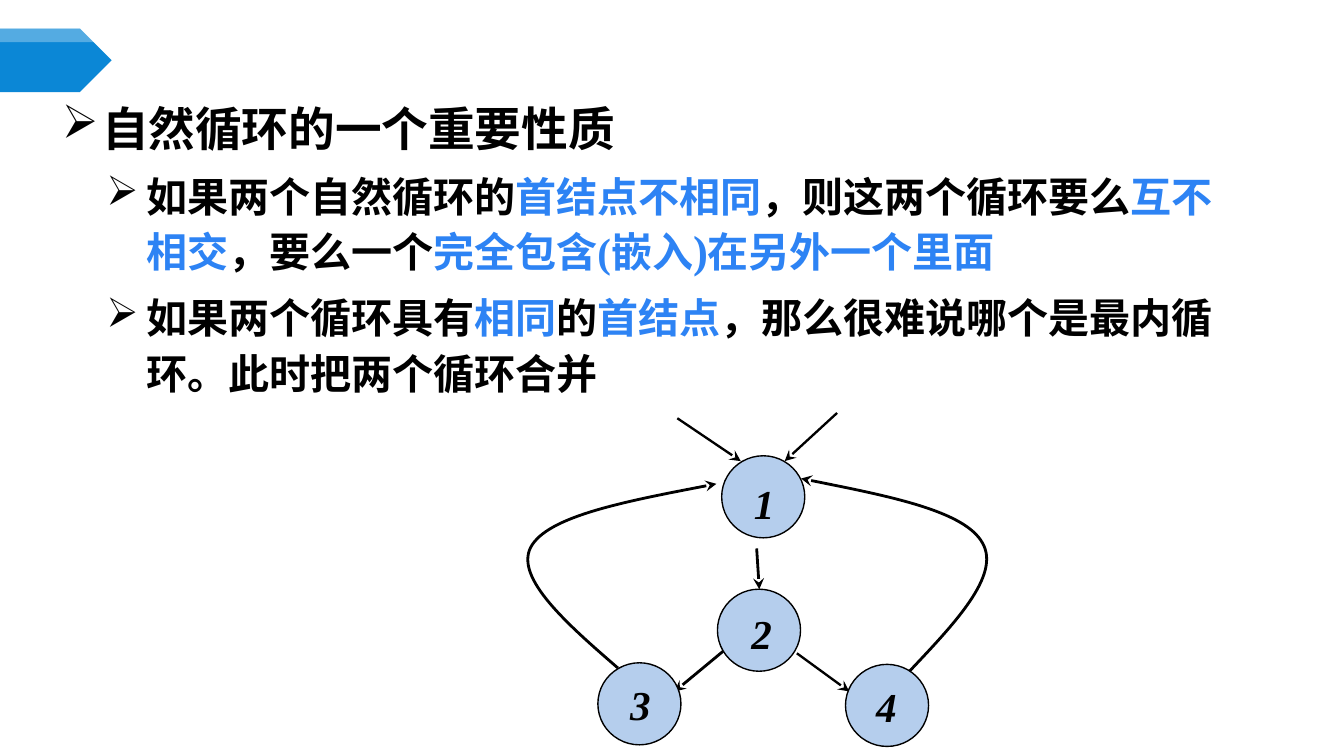
from lxml import etree
from pptx import Presentation
from pptx.dml.color import RGBColor
from pptx.enum.shapes import MSO_CONNECTOR, MSO_SHAPE
from pptx.oxml.ns import qn
from pptx.util import Cm, Pt

PLATE, OVAL, RECT = MSO_SHAPE.PENTAGON, MSO_SHAPE.OVAL, MSO_SHAPE.RECTANGLE
LINE = MSO_CONNECTOR.STRAIGHT
FONT = "Times New Roman"
HUES = {name: RGBColor.from_string(code) for name, code in {
    "black": "000000", "white": "FFFFFF", "blue": "2D83F4",
    "tag": "0B87D6", "node": "B5CEED"}.items()}


def add_arrow(shape, width):
    shape.line.color.rgb = HUES["black"]
    shape.line.width = Pt(width)
    etree.SubElement(shape.line._get_or_add_ln(), qn("a:tailEnd"), type="stealth")
    etree.SubElement(shape._element.spPr, qn("a:effectLst"))


def add_text(left, top, width, height, wrap):
    frame = slide.shapes.add_textbox(Cm(left), Cm(top), Cm(width), Cm(height)).text_frame
    frame.word_wrap = wrap
    frame.margin_left = frame.margin_right = Cm(0.18)
    frame.margin_top = frame.margin_bottom = Cm(0.1)
    return frame


deck = Presentation()
deck.slide_width, deck.slide_height = Cm(25.4), Cm(14.28)
slide = deck.slides.add_slide(deck.slide_layouts[6])

for kind, width, height, hue in [(PLATE, 2.11, 1.2, "tag"), (RECT, 2.11, 0.26, "white")]:
    tag = slide.shapes.add_shape(kind, 0, Cm(0.54), Cm(width), Cm(height))
    tag.shadow.inherit = False
    tag.fill.solid()
    tag.fill.fore_color.rgb = HUES[hue]
    tag.line.fill.background()
tint = tag._element.spPr.find(qn("a:solidFill"))[0]
etree.SubElement(tint, qn("a:alpha"), val="30000")

lines = [
    (0, 25, [("自然循环的一个重要性质", "black")]),
    (1, 22, [("如果两个自然循环的", "black"), ("首结点不相同", "blue"),
             ("，则这两个循环要么", "black"), ("互不相交", "blue"),
             ("，要么一个", "black"), ("完全包含(嵌入", "blue"),
             (")", "blue"), ("在另外一个里面", "blue")]),
    (1, 22, [("如果两个循环具有", "black"), ("相同", "blue"), ("的", "black"),
             ("首结点", "blue"),
             ("，那么很难说哪个是最内循环。此时把两个循环合并", "black")]),
]
body = add_text(0.99, 1.78, 22.63, 7.37, True)
for i, (level, size, runs) in enumerate(lines):
    para = body.paragraphs[0] if i == 0 else body.add_paragraph()
    para.level = level
    para.line_spacing = Pt(30)
    para.space_before = Pt(5 if i else 0)
    props = para._p.get_or_add_pPr()
    props.set("marL", str(Cm(1.6 if level else 0.76)))
    props.set("indent", str(-Cm(0.76)))
    etree.SubElement(props, qn("a:buChar"), char="➢")
    para.font.name, para.font.size, para.font.bold = FONT, Pt(size), True
    for words, hue in runs:
        run = para.add_run()
        run.text = words
        run.font.color.rgb = HUES[hue]
        if words == ")":
            run.font.size = Pt(24)

curves = [
    [(11.68, 12.62), (10.72, 11.79), (9.73, 10.92), (10.03, 10.34),
     (10.34, 9.75), (11.94, 9.45), (13.54, 9.14)],
    [(17.17, 12.7), (18.03, 11.79), (18.92, 10.87), (18.57, 10.26),
     (18.24, 9.65), (16.69, 9.35), (15.14, 9.04)],
]
for curve in curves:
    start, *rest = [(Cm(x), Cm(y)) for x, y in curve]
    pen = slide.shapes.build_freeform(*start)
    pen.add_line_segments(rest, close=False)
    loop = pen.convert_to_shape()
    loop.shadow.inherit = False
    loop.fill.background()
    track = loop._element.spPr.find(".//" + qn("a:path"))
    steps = track.findall(qn("a:lnTo"))
    for k in range(0, len(steps), 3):
        bend = etree.SubElement(track, qn("a:cubicBezTo"))
        for step in steps[k:k + 3]:
            bend.append(step[0])
            track.remove(step)
    loop.line.color.rgb = HUES["black"]
    loop.line.width = Pt(1.5)
    etree.SubElement(loop.line._get_or_add_ln(), qn("a:tailEnd"), type="stealth")

arrows = [
    (13.74, 12.24, 12.75, 13.06, 1.5),
    (14.3, 10.36, 14.35, 11.13, 1.5),
    (15.06, 12.34, 16.05, 13.06, 1.25),
    (12.8, 7.9, 14, 8.71, 1.25),
    (15.82, 7.8, 14.83, 8.71, 1.25),
]
for *ends, width in arrows:
    add_arrow(slide.shapes.add_connector(LINE, *map(Cm, ends)), width)

nodes = [
    ("1", 13.64, 8.61, 14.07, 8.94),
    ("2", 13.56, 11.13, 14.02, 11.4),
    ("3", 11.3, 12.52, 11.73, 12.73),
    ("4", 15.98, 12.55, 16.38, 12.78),
]
for name, left, top, x, y in nodes:
    node = slide.shapes.add_shape(OVAL, Cm(left), Cm(top), Cm(1.57), Cm(1.55))
    node.shadow.inherit = False
    node.fill.solid()
    node.fill.fore_color.rgb = HUES["node"]
    node.line.color.rgb = HUES["black"]
    node.line.width = Pt(0.75)
    para = add_text(x, y, 0.69, 1.14, False).paragraphs[0]
    para.text = name
    para.font.name, para.font.size = FONT, Pt(22)
    para.font.bold = para.font.italic = True
    para.font.color.rgb = HUES["black"]

deck.save("out.pptx")
